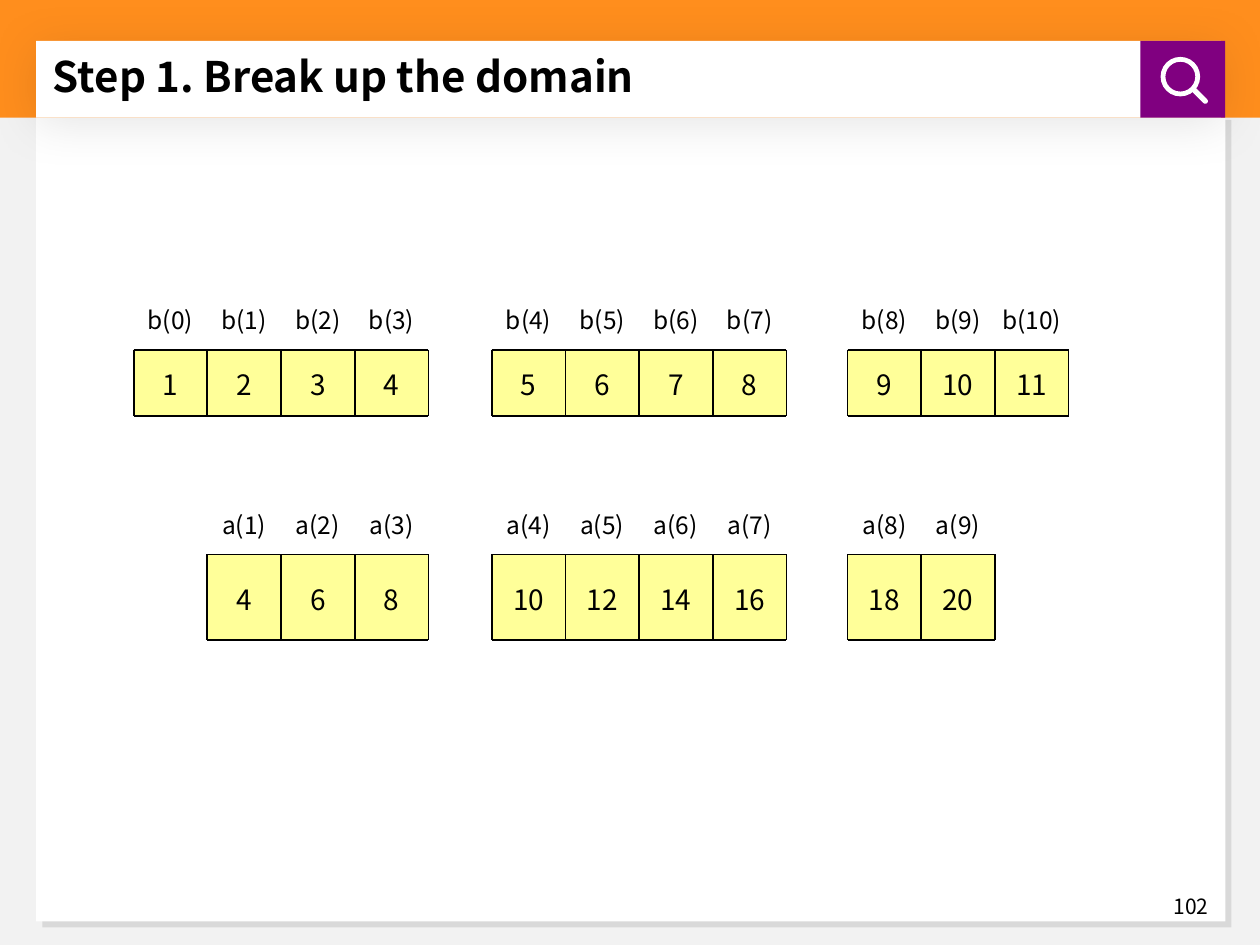
from lxml import etree
from pptx import Presentation
from pptx.dml.color import RGBColor
from pptx.enum import shapes as kinds, text as txt
from pptx.oxml.ns import qn
from pptx.util import Pt

FONT = "Noto Sans CJK KR"
BLACK = RGBColor(0, 0, 0)
WHITE = RGBColor(255, 255, 255)
GREY = RGBColor(0xF2, 0xF2, 0xF2)
ORANGE = RGBColor(0xFF, 0x8E, 0x1D)
PURPLE = RGBColor(0x80, 0, 0x80)
YELLOW = RGBColor(0xFF, 0xFF, 0x99)
SHAPE = kinds.MSO_SHAPE


def fit(item, box):
    item.left, item.top, item.width, item.height = map(Pt, box)


def block(slide, box, fill, kind=SHAPE.RECTANGLE):
    shape = slide.shapes.add_shape(kind, *map(Pt, box))
    shape.shadow.inherit = False
    shape.fill.solid()
    shape.fill.fore_color.rgb = fill
    shape.line.fill.background()
    return shape


def shade(shape, blur, dist, angle):
    """Add a soft black shadow at 10 % opacity."""
    group = shape.element.spPr.find(qn("a:effectLst"))
    outer = etree.SubElement(
        group, qn("a:outerShdw"), blurRad=str(Pt(blur)), dist=str(Pt(dist)),
        dir=str(angle * 60000), algn="t", rotWithShape="0")
    color = etree.SubElement(outer, qn("a:srgbClr"), val="000000")
    etree.SubElement(color, qn("a:alpha"), val="10000")


def write(shape, words, size, align, bold=False, space=None):
    frame = shape.text_frame
    frame.text = words
    frame.word_wrap = True
    frame.auto_size = txt.MSO_AUTO_SIZE.NONE
    frame.vertical_anchor = txt.MSO_ANCHOR.MIDDLE
    line = frame.paragraphs[0]
    line.alignment = align
    line.line_spacing = space
    font = line.runs[0].font
    font.name, font.size, font.bold = FONT, Pt(size), bold
    font.color.rgb = BLACK


def rule(slide, x1, y1, x2, y2):
    line = slide.shapes.add_connector(
        kinds.MSO_CONNECTOR.STRAIGHT, Pt(x1), Pt(y1), Pt(x2), Pt(y2))
    line.line.color.rgb = BLACK
    line.line.width = Pt(1)
    etree.SubElement(line.element.spPr, qn("a:effectLst"))


def cell(slide, box, words, size, fill):
    shape = block(slide, box, fill)
    frame = shape.text_frame
    frame.margin_left = frame.margin_right = 0
    frame.margin_top = frame.margin_bottom = 0
    write(shape, words, size, txt.PP_ALIGN.CENTER, space=1.1)


def lens(slide, box):
    """Purple tile with a magnifying glass."""
    left, top, _, _ = box
    block(slide, box, PURPLE)
    ring = block(slide, (left + 11.5, top + 9.2, 22.6, 22.6), WHITE, SHAPE.DONUT)
    ring.adjustments[0] = 0.122
    grip = block(slide, (left + 32.3, top + 25.2, 3, 12.2), WHITE,
                 SHAPE.ROUNDED_RECTANGLE)
    grip.adjustments[0] = 0.5
    grip.rotation = 315


def frame(slide, box):
    """Page background, header band and title bar."""
    left, top, wide, high = box
    block(slide, (left, top + 50, wide, high - 50), GREY)
    shade(block(slide, (left + 20.7, top + 65, 679.5, 461.5), WHITE), 0, 5, 45)
    block(slide, (left, top, wide, 67.2), ORANGE)
    shade(block(slide, (left + 20.7, top + 23.3, 677, 43.9), WHITE), 27, 3, 90)
    lens(slide, (left + 651.7, top + 23.3, 48.4, 43.9))


def heading(slide, box, words):
    title = slide.shapes.title
    title.element.getparent().append(title.element)  # in front of the bar
    fit(title, box)
    write(title, words, 24, txt.PP_ALIGN.LEFT, bold=True, space=0.9)


def number(slide, box, words):
    note = slide.shapes.add_textbox(*map(Pt, box))
    write(note, words, 12, txt.PP_ALIGN.RIGHT)


def strip(slide, box, name, first, values):
    """One part of an array: index labels above a ruled row of cells."""
    left, top, wide, high = box
    step = wide / len(values)
    right, low = left + wide, top + high
    for i, value in enumerate(values):
        x = left + i * step
        cell(slide, (x, top - 33.8, step, 31.7), f"{name}({first + i})", 14, WHITE)
        cell(slide, (x, top, step, high), str(value), 16, YELLOW)
    for y in (top, low):
        rule(slide, left, y, right, y)
    for i in range(len(values) + 1):
        x = left + i * step
        rule(slide, x, top, x, low)


def main():
    deck = Presentation()
    deck.slide_width, deck.slide_height = Pt(720), Pt(540)
    slide = deck.slides.add_slide(deck.slide_layouts[5])

    frame(slide, (0, 0, 720, 540))
    heading(slide, (23, 25.2, 635.8, 39.6), "Step 1. Break up the domain")
    number(slide, (540.7, 510.5, 157, 15.1), "102")

    # Array b above array a, each split over three parts
    pitch = 42.1
    rows = (
        ("b", 200, 37.6, ((76.4, 0, (1, 2, 3, 4)),
                          (281, 4, (5, 6, 7, 8)),
                          (484.3, 8, (9, 10, 11)))),
        ("a", 316.8, 49, ((76.4 + pitch, 1, (4, 6, 8)),
                          (281, 4, (10, 12, 14, 16)),
                          (484.3, 8, (18, 20)))),
    )
    for name, top, high, parts in rows:
        for left, first, values in parts:
            box = (left, top, pitch * len(values), high)
            strip(slide, box, name, first, values)

    deck.save("out.pptx")


if __name__ == "__main__":
    main()
